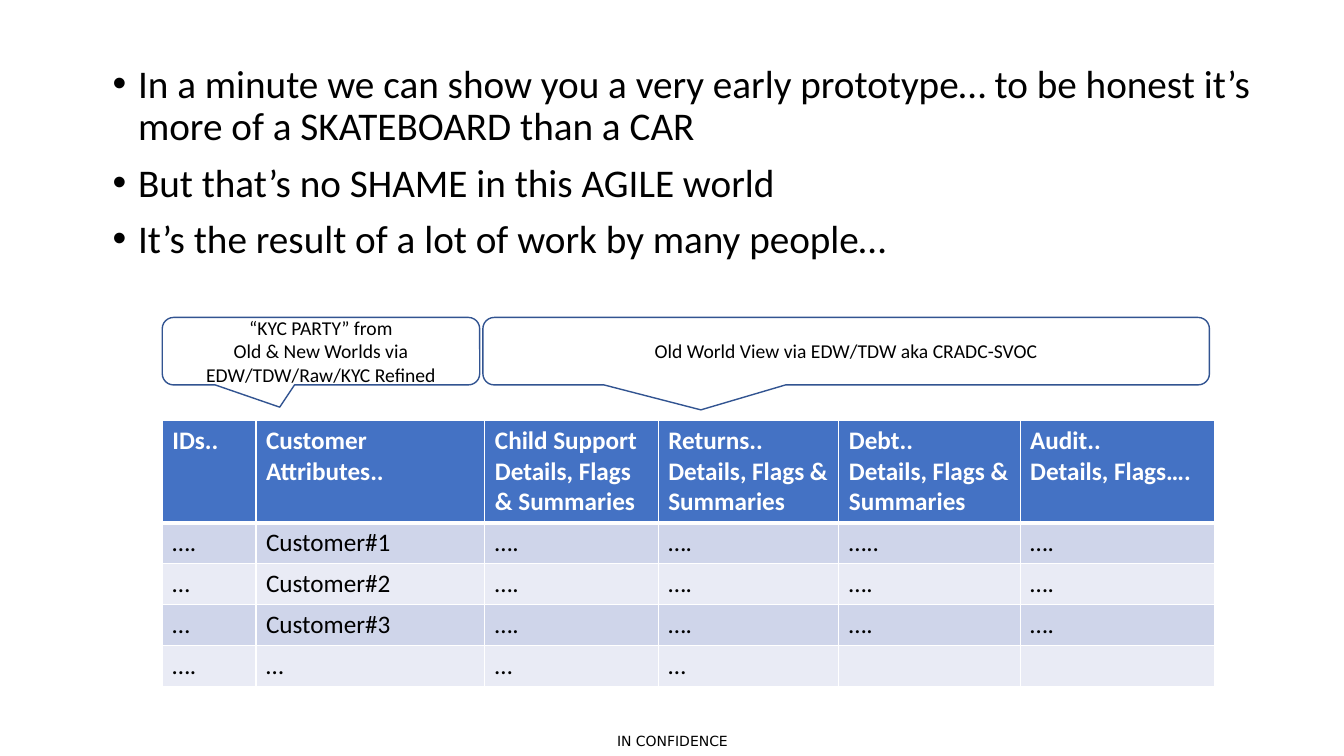
from lxml import etree
from pptx import Presentation
from pptx.dml.color import RGBColor
from pptx.enum.shapes import MSO_SHAPE
from pptx.enum.text import MSO_ANCHOR, PP_ALIGN
from pptx.oxml.ns import qn
from pptx.util import Cm, Pt

CALLOUT = MSO_SHAPE.ROUNDED_RECTANGULAR_CALLOUT
TOP, MIDDLE = MSO_ANCHOR.TOP, MSO_ANCHOR.MIDDLE
LEFT, CENTER = PP_ALIGN.LEFT, PP_ALIGN.CENTER

BLACK = RGBColor(0x00, 0x00, 0x00)
WHITE = RGBColor(0xFF, 0xFF, 0xFF)
HEADER_BLUE = RGBColor(0x44, 0x72, 0xC4)
OUTLINE_BLUE = RGBColor(0x32, 0x54, 0x91)
BANDS = (RGBColor(0xCF, 0xD5, 0xEA), RGBColor(0xE9, 0xEB, 0xF5))


class SlideBuilder:
    def __init__(self, s, font="Calibri"):
        self.s = s
        self.font = font

    def set_text(self, tf, text, size, color=BLACK, bold=False, align=LEFT, font=None):
        tf.text = text
        for p in tf.paragraphs:
            p.alignment = align
            for r in p.runs:
                r.font.name = font or self.font
                r.font.size = Pt(size)
                r.font.bold = bold
                r.font.color.rgb = color

    def textbox(self, x, y, w, h, text, size, anchor=TOP, **style):
        tf = self.s.shapes.add_textbox(Cm(x), Cm(y), Cm(w), Cm(h)).text_frame
        tf.word_wrap = True
        tf.vertical_anchor = anchor
        self.set_text(tf, text, size, **style)
        return tf

    def bullets(self, x, y, w, h, items, size):
        tf = self.textbox(x, y, w, h, "\n".join(items), size)
        for p in tf.paragraphs:
            p.line_spacing = 0.9
            p.space_before = Pt(10)
            pPr = p._p.get_or_add_pPr()
            pPr.set("marL", str(Cm(0.64)))
            pPr.set("indent", str(-Cm(0.64)))
            etree.SubElement(pPr, qn("a:buFont"), typeface="Arial")
            etree.SubElement(pPr, qn("a:buChar"), char="•")

    def callout(self, x, y, w, h, text, tip):
        sp = self.s.shapes.add_shape(CALLOUT, Cm(x), Cm(y), Cm(w), Cm(h))
        sp.shadow.inherit = False
        sp.fill.background()
        sp.line.color.rgb = OUTLINE_BLUE
        sp.line.width = Pt(1)
        sp.adjustments[0], sp.adjustments[1] = tip
        sp.text_frame.word_wrap = True
        sp.text_frame.vertical_anchor = MIDDLE
        self.set_text(sp.text_frame, text, 14, align=CENTER)

    def borders(self, cell, bottom):
        tcPr = cell._tc.get_or_add_tcPr()
        widths = {"L": 1, "R": 1, "T": 1, "B": bottom}
        for i, (side, width) in enumerate(widths.items()):
            ln = etree.Element(qn(f"a:ln{side}"), w=str(Pt(width)))
            fill = etree.SubElement(ln, qn("a:solidFill"))
            etree.SubElement(fill, qn("a:srgbClr"), val=str(WHITE))
            tcPr.insert(i, ln)

    def table(self, x, y, widths, heights, rows):
        table = self.s.shapes.add_table(
            len(rows), len(widths), Cm(x), Cm(y),
            Cm(sum(widths)), Cm(sum(heights))).table
        for column, width in zip(table.columns, widths):
            column.width = Cm(width)
        for i, (row, height, texts) in enumerate(zip(table.rows, heights, rows)):
            header = i == 0
            row.height = Cm(height)
            for cell, text in zip(row.cells, texts):
                self.set_text(cell.text_frame, text, 18,
                              WHITE if header else BLACK, bold=header)
                cell.fill.solid()
                cell.fill.fore_color.rgb = HEADER_BLUE if header else BANDS[(i - 1) % 2]
                self.borders(cell, 3 if header else 1)


prs = Presentation()
prs.slide_width, prs.slide_height = Cm(33.87), Cm(19.05)
slide = SlideBuilder(prs.slides.add_slide(prs.slide_layouts[6]))

# Footer marking
footer = slide.textbox(15.09, 18.31, 3.71, 0.74, "IN CONFIDENCE", 10,
                       anchor=MIDDLE, align=CENTER, font="DejaVu Sans")
footer.margin_left = footer.margin_right = footer.margin_top = footer.margin_bottom = 0

# Message
slide.bullets(2.59, 1.5, 29.21, 5.84, [
    "In a minute we can show you a very early prototype… to be honest it’s "
    "more of a SKATEBOARD than a CAR",
    "But that’s no SHAME in this AGILE world",
    "It’s the result of a lot of work by many people…",
], 28)

# Customer table
slide.table(4.09, 10.59, [2.36, 5.77, 4.37, 4.55, 4.57, 4.9], [2.58] + [1.03] * 4, [
    ["IDs..", "Customer Attributes..", "Child Support Details, Flags & Summaries",
     "Returns.. Details, Flags & Summaries", "Debt..\nDetails, Flags & Summaries",
     "Audit..\nDetails, Flags…."],
    ["….", "Customer#1", "….", "….", "…..", "…."],
    ["…", "Customer#2", "….", "….", "….", "…."],
    ["…", "Customer#3", "….", "….", "….", "…."],
    ["….", "…", "…", "…", "", ""],
])

# Data source callouts
slide.callout(4.09, 8, 8, 1.7,
              "“KYC PARTY” from\nOld & New Worlds via EDW/TDW/Raw/KYC Refined",
              (-0.13, 0.83))
slide.callout(12.17, 8, 18.31, 1.7, "Old World View via EDW/TDW aka CRADC-SVOC",
              (-0.2, 0.87))

prs.save("out.pptx")
